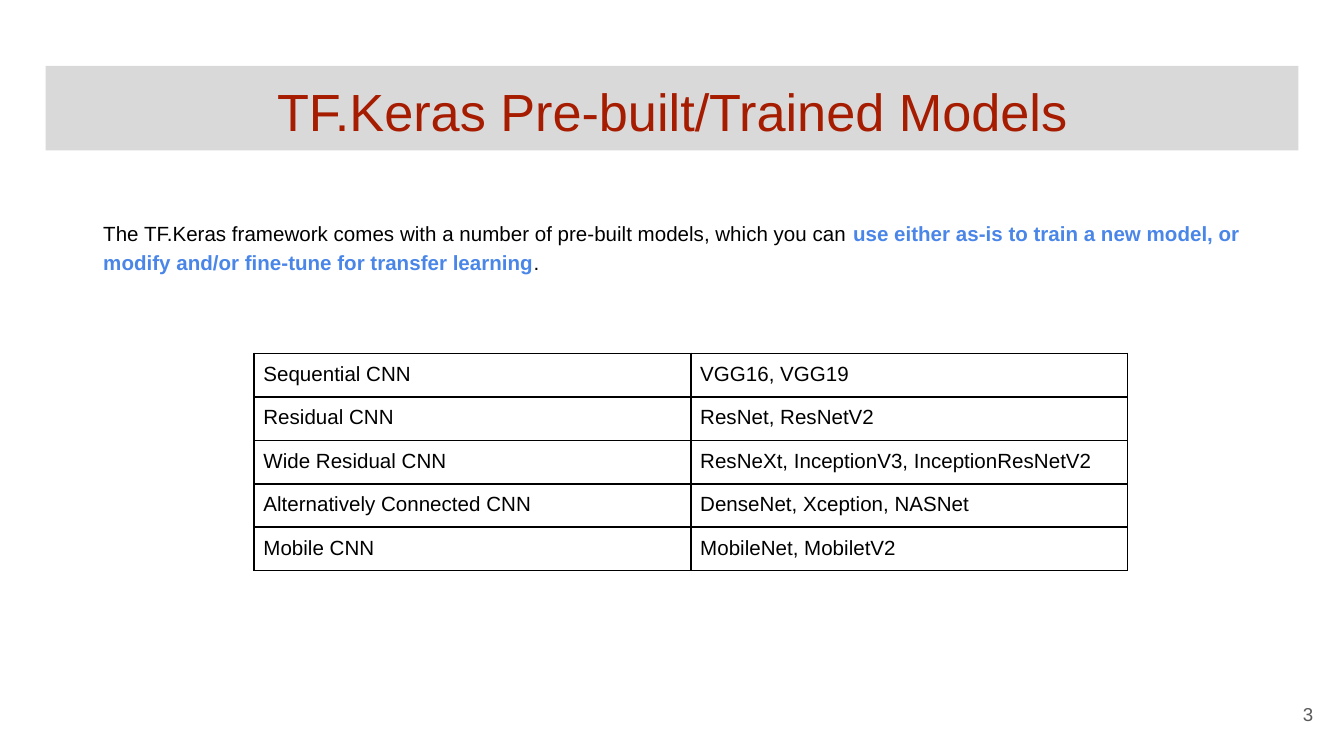
from dataclasses import dataclass

from lxml import etree
from pptx import Presentation
from pptx.dml.color import RGBColor
from pptx.enum.shapes import MSO_SHAPE
from pptx.enum.text import MSO_ANCHOR, PP_ALIGN
from pptx.oxml.ns import qn
from pptx.util import Inches, Pt

RECTANGLE = MSO_SHAPE.RECTANGLE
TOP, MIDDLE = MSO_ANCHOR.TOP, MSO_ANCHOR.MIDDLE
LEFT, CENTER, RIGHT = PP_ALIGN.LEFT, PP_ALIGN.CENTER, PP_ALIGN.RIGHT


@dataclass(frozen=True)
class Theme:
    font: str = "Arial"
    banner: str = "D9D9D9"
    heading: str = "A61C00"
    ink: str = "000000"
    accent: str = "4A86E8"
    muted: str = "595959"
    heading_size: float = 28
    body_size: float = 11
    number_size: float = 10
    border_width: float = 1
    box_inset: float = 0.1
    cell_inset: float = 0.07


class SlideBuilder:
    def __init__(self, slide, theme):
        self.slide = slide
        self.theme = theme

    def add_run(self, paragraph, text, size, color, bold=False):
        run = paragraph.add_run()
        run.text = text
        run.font.name = self.theme.font
        run.font.size = Pt(size)
        run.font.bold = bold
        run.font.color.rgb = RGBColor.from_string(color)

    def fill_text(self, frame, runs, size, align, anchor, spacing):
        frame.word_wrap = True
        frame.vertical_anchor = anchor
        inset = Inches(self.theme.box_inset)
        frame.margin_left = frame.margin_right = inset
        frame.margin_top = frame.margin_bottom = inset
        paragraph = frame.paragraphs[0]
        paragraph.alignment = align
        paragraph.line_spacing = spacing
        for text, color, bold in runs:
            self.add_run(paragraph, text, size, color, bold)

    def banner(self, box, text):
        theme = self.theme
        banner = self.slide.shapes.add_shape(RECTANGLE, *map(Inches, box))
        banner.shadow.inherit = False
        banner.fill.solid()
        banner.fill.fore_color.rgb = RGBColor.from_string(theme.banner)
        banner.line.fill.background()
        self.fill_text(banner.text_frame, [(text, theme.heading, False)],
                       theme.heading_size, CENTER, TOP, 1.0)

    def text(self, box, runs, size, align=LEFT, anchor=TOP, spacing=1.0):
        frame = self.slide.shapes.add_textbox(*map(Inches, box)).text_frame
        self.fill_text(frame, runs, size, align, anchor, spacing)

    def border(self, cell):
        properties = cell._tc.get_or_add_tcPr()
        for position, side in enumerate(("a:lnL", "a:lnR", "a:lnT", "a:lnB")):
            line = etree.Element(qn(side), w=str(Pt(self.theme.border_width)))
            fill = etree.SubElement(line, qn("a:solidFill"))
            etree.SubElement(fill, qn("a:srgbClr"), val=self.theme.ink)
            properties.insert(position, line)

    def table(self, left, top, column_width, row_height, rows):
        theme = self.theme
        columns = len(rows[0])
        table = self.slide.shapes.add_table(
            len(rows), columns, Inches(left), Inches(top),
            Inches(column_width * columns), Inches(row_height * len(rows))).table
        table.first_row = table.horz_banding = False
        inset = Inches(theme.cell_inset)
        for row_index, row in enumerate(rows):
            for column_index, text in enumerate(row):
                cell = table.cell(row_index, column_index)
                cell.margin_left = cell.margin_right = inset
                cell.margin_top = cell.margin_bottom = inset
                cell.fill.background()
                self.border(cell)
                self.add_run(cell.text_frame.paragraphs[0], text,
                             theme.body_size, theme.ink)


MODEL_FAMILIES = [
    ("Sequential CNN", "VGG16, VGG19"),
    ("Residual CNN", "ResNet, ResNetV2"),
    ("Wide Residual CNN", "ResNeXt, InceptionV3, InceptionResNetV2"),
    ("Alternatively Connected CNN", "DenseNet, Xception, NASNet"),
    ("Mobile CNN", "MobileNet, MobiletV2"),
]


def main():
    theme = Theme()
    presentation = Presentation()
    presentation.slide_width = Inches(10)
    presentation.slide_height = Inches(10 * 9 / 16)
    slide = presentation.slides.add_slide(presentation.slide_layouts[6])
    builder = SlideBuilder(slide, theme)

    builder.banner((0.34, 0.49, 9.32, 0.63), "TF.Keras Pre-built/Trained Models")
    builder.text((9.27, 5.1, 0.6, 0.43), [("3", theme.muted, False)],
                 theme.number_size, RIGHT, MIDDLE)
    introduction = [
        ("The TF.Keras framework comes with a number of pre-built models, "
         "which you can ", theme.ink, False),
        ("use either as-is to train a new model, or modify and/or fine-tune "
         "for transfer learning", theme.accent, True),
        (".", theme.ink, False),
    ]
    builder.text((0.67, 1.52, 8.86, 0.79), introduction, theme.body_size,
                 spacing=1.15)
    builder.table(1.89, 2.63, 3.25, 0.01, MODEL_FAMILIES)

    presentation.save("out.pptx")


if __name__ == "__main__":
    main()
